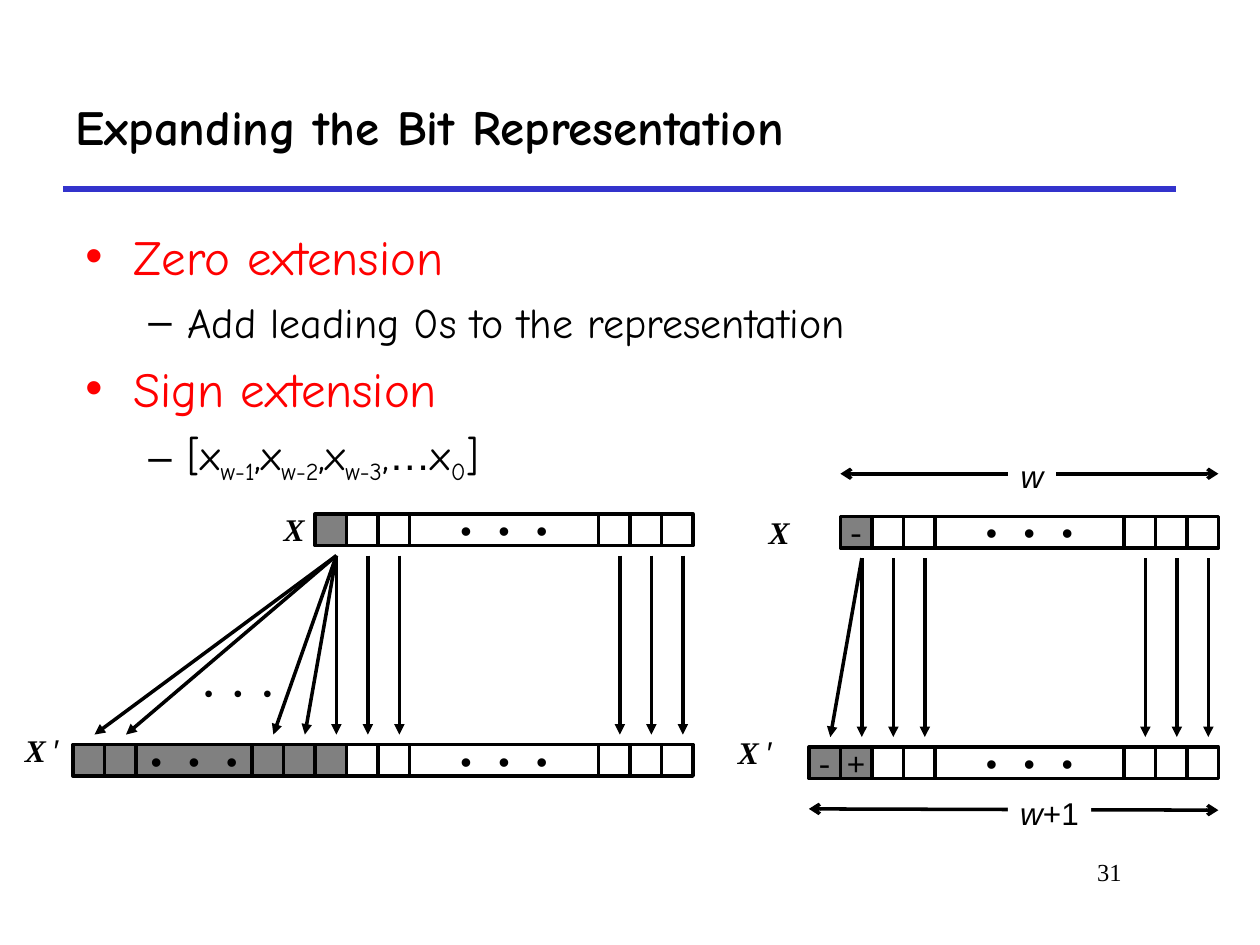
from pptx import Presentation
from pptx.dml.color import RGBColor
from pptx.enum.shapes import MSO_CONNECTOR, MSO_SHAPE
from pptx.enum.text import MSO_ANCHOR, MSO_AUTO_SIZE, PP_ALIGN
from pptx.oxml.ns import qn
from pptx.util import Inches, Pt
from lxml import etree

RECT = MSO_SHAPE.RECTANGLE
STRAIGHT = MSO_CONNECTOR.STRAIGHT
MIDDLE = MSO_ANCHOR.MIDDLE
LEFT, CENTER, RIGHT = PP_ALIGN.LEFT, PP_ALIGN.CENTER, PP_ALIGN.RIGHT
NO_FIT = MSO_AUTO_SIZE.NONE

BLACK, WHITE, GRAY, RED, BLUE = "000000", "FFFFFF", "808080", "FF0000", "3333CC"
HAND, SERIF, SANS, MONO = "Comic Neue", "Times New Roman", "Arial", "Courier New"
DOTS = "• • •"
BIT = 0.25


def rgb(color):
    return RGBColor.from_string(color)


class SlideBuilder:
    def __init__(self, slide):
        self.slide = slide
        self.canvas = slide.shapes

    def start_group(self):
        self.canvas = self.slide.shapes.add_group_shape().shapes

    def run(self, paragraph, text, size, font=HAND, color=BLACK,
            bold=False, italic=False, baseline=0):
        run = paragraph.add_run()
        run.text = text
        run.font.size = Pt(size)
        run.font.name = font
        run.font.color.rgb = rgb(color)
        run.font.bold = bold
        run.font.italic = italic
        if baseline:
            run._r.get_or_add_rPr().set("baseline", str(baseline * 1000))

    def title(self, text, left, top, width, height):
        title = self.slide.shapes.title
        title.left, title.top = Inches(left), Inches(top)
        title.width, title.height = Inches(width), Inches(height)
        frame = title.text_frame
        frame.auto_size = NO_FIT
        frame.vertical_anchor = MIDDLE
        frame.paragraphs[0].alignment = LEFT
        self.run(frame.paragraphs[0], text, 28, bold=True)

    def outline(self, items, left, top, width, height):
        """Each item is (level, list of (text, run options))."""
        box = self.canvas.add_textbox(Inches(left), Inches(top), Inches(width), Inches(height))
        frame = box.text_frame
        frame.word_wrap = True
        styles = [(28, RED, "•", 0.38, 0.38, 7), (24, BLACK, "–", 0.81, 0.31, 6)]
        for index, (level, runs) in enumerate(items):
            size, color, mark, margin, hanging, space = styles[level]
            paragraph = frame.add_paragraph() if index else frame.paragraphs[0]
            paragraph.level = level
            paragraph.space_before = Pt(space if index else 0)
            properties = paragraph._p.get_or_add_pPr()
            properties.set("marL", str(Inches(margin)))
            properties.set("indent", str(-Inches(hanging)))
            bullet_color = etree.SubElement(properties, qn("a:buClr"))
            etree.SubElement(bullet_color, qn("a:srgbClr"), val=color)
            etree.SubElement(properties, qn("a:buFont"), typeface=SANS)
            etree.SubElement(properties, qn("a:buChar"), char=mark)
            for text, options in runs:
                self.run(paragraph, text, size, color=color, **options)

    def label(self, runs, left, top, width, height, size=18, align=CENTER, side=0, fill=None):
        box = self.canvas.add_textbox(Inches(left), Inches(top), Inches(width), Inches(height))
        if fill:
            box.fill.solid()
            box.fill.fore_color.rgb = rgb(fill)
        frame = box.text_frame
        frame.word_wrap = False
        frame.auto_size = NO_FIT
        frame.margin_left = frame.margin_right = Inches(side)
        frame.paragraphs[0].alignment = align
        for text, options in runs:
            self.run(frame.paragraphs[0], text, size, **options)

    def cell(self, left, top, width, fill, text):
        cell = self.canvas.add_shape(RECT, Inches(left), Inches(top), Inches(width), Inches(BIT))
        cell.shadow.inherit = False
        cell.fill.solid()
        cell.fill.fore_color.rgb = rgb(fill)
        cell.line.color.rgb = rgb(BLACK)
        cell.line.width = Pt(2)
        if text:
            frame = cell.text_frame
            frame.word_wrap = False
            frame.vertical_anchor = MIDDLE
            frame.paragraphs[0].alignment = CENTER
            self.run(frame.paragraphs[0], text, 18, MONO)

    def bit_row(self, left, top, cells):
        for width, fill, text in cells:
            self.cell(left, top, width, fill, text)
            left += width

    def line(self, start, end, color=BLACK, width=2, head=None, tail=None):
        line = self.canvas.add_connector(STRAIGHT, *map(Inches, start + end))
        line.line.color.rgb = rgb(color)
        line.line.width = Pt(width)
        outline = line.line._get_or_add_ln()
        for tag, kind in (("a:headEnd", head), ("a:tailEnd", tail)):
            if kind:
                etree.SubElement(outline, qn(tag), type=kind)
        etree.SubElement(line._element.spPr, qn("a:effectLst"))

    def extension(self, sign_left, top, sign, added, added_width, sources, x_left, prime_left):
        """Draw word X, the longer word X′ below it, and the arrows between them."""
        self.start_group()
        word_bits = [(BIT, WHITE, "")] * 2 + [(1.5, WHITE, DOTS)] + [(BIT, WHITE, "")] * 3
        self.bit_row(sign_left, top, [(BIT, GRAY, sign)] + word_bits)
        self.bit_row(sign_left - added_width, top + 1.83, added + word_bits)

        # Word names
        name = ("X ", dict(font=SERIF, bold=True, italic=True))
        self.label([name], x_left, top - 0.08, 0.43, 0.4)
        self.label([name, ("′", dict(font=SANS))], prime_left, top + 1.67, 0.51, 0.4)

        # The sign bit fans out, the other bits go straight down
        sign_x = sign_left + 0.17
        start_y, end_y = top + 0.33, top + 1.75
        for offset in sources:
            self.line((sign_x, start_y), (sign_x - offset, end_y), tail="triangle")
        for offset in (0.25, 0.5, 2.25, 2.5, 2.75):
            self.line((sign_x + offset, start_y), (sign_x + offset, end_y), tail="triangle")


def main():
    deck = Presentation()
    deck.slide_width, deck.slide_height = Inches(10), Inches(7.5)
    page = SlideBuilder(deck.slides.add_slide(deck.slide_layouts[5]))

    # Heading, rule and page number
    page.title("Expanding the Bit Representation", 0.5, 0.5, 9.08, 1)
    page.line((0.5, 1.5), (9.33, 1.5), BLUE, 3)
    page.label([("31", dict(font=SERIF))], 7.58, 6.75, 1.42, 0.5, size=14, align=RIGHT, side=0.1)

    # Outline
    sub = dict(baseline=-25)
    bit_vector = [("[x", {}), ("w-1", sub), (",x", {}), ("w-2", sub), (",x", {}), ("w-3", sub),
                  (",", {}), ("…", dict(font=SANS)), ("x", {}), ("0", sub), ("]", {})]
    page.outline([
        (0, [("Zero extension", {})]),
        (1, [("Add leading 0s to the representation", {})]),
        (0, [("Sign extension", {})]),
        (1, bit_vector),
    ], 0.58, 1.75, 8.67, 4.83)

    # Extension by many bits
    gray_bit = (BIT, GRAY, "")
    page.extension(2.5, 4.08, "", [gray_bit] * 2 + [(0.92, GRAY, DOTS)] + [gray_bit] * 3,
                   1.92, (0, 0.25, 0.5, 1.67, 1.92), 2.15, 0.08)
    page.label([(DOTS, dict(font=MONO))], 1.5, 5.33, 0.78, 0.34, size=14)

    # Extension by one bit, with its widths
    page.extension(6.67, 4.1, "-", [(BIT, GRAY, "-"), (BIT, GRAY, "+")],
                   BIT, (0, 0.25), 6, 5.74)
    w = ("w", dict(font=SANS, italic=True))
    page.line((6.42, 6.42), (9.67, 6.43), head="arrow", tail="arrow")
    page.label([w, ("+1", dict(font=SANS))], 8, 6.25, 0.66, 0.4, fill=WHITE)
    page.line((6.67, 3.76), (9.67, 3.76), head="arrow", tail="arrow")
    page.label([w], 8, 3.58, 0.38, 0.4, fill=WHITE)

    deck.save("out.pptx")


if __name__ == "__main__":
    main()
